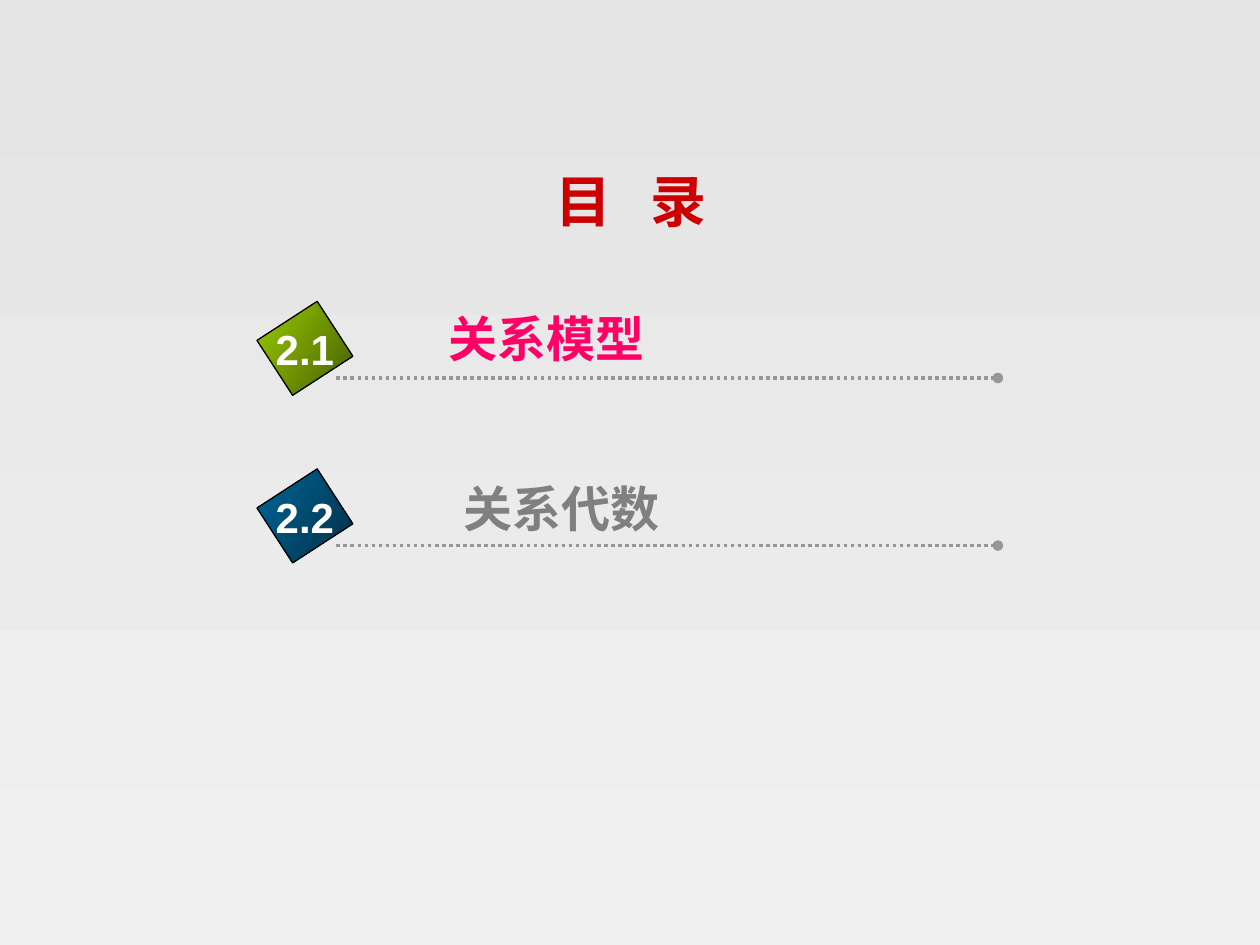
from dataclasses import dataclass

from lxml import etree
from pptx import Presentation
from pptx.dml.color import RGBColor
from pptx.enum import dml, shapes, text
from pptx.oxml import ns
from pptx.util import Inches, Pt


@dataclass(frozen=True)
class Theme:
    latin: str = "Arial"
    cjk: str = "Noto Sans CJK SC"
    title_size: int = 32
    label_size: int = 28
    number_size: int = 24
    title: str = "CC0000"
    active: str = "FF0066"
    muted: str = "808080"
    rule: str = "969696"
    outline: str = "000000"
    number: str = "FFFFFF"
    backdrop: tuple = ("E4E4E4", "F0F0F0")
    green: tuple = ("99CC00", "475E00")
    blue: tuple = ("006699", "002F47")


THEME = Theme()


def rgb(value):
    return RGBColor.from_string(value)


def set_gradient(fill, colors, angle):
    fill.gradient()
    fill.gradient_angle = 360 - angle
    for stop, color in zip(fill.gradient_stops, colors):
        stop.color.rgb = rgb(color)


def add_run(p, words, size, color, font):
    r = p.add_run()
    r.text = words
    r.font.size = Pt(size)
    r.font.bold = True
    r.font.name = font
    r.font.color.rgb = rgb(color)
    ea = etree.SubElement(r.font._element, ns.qn("a:ea"))
    ea.set("typeface", THEME.cjk)
    return r


def add_title(s, x, y, w, h):
    sp = s.shapes.title
    sp.left, sp.top, sp.width, sp.height = map(Inches, (x, y, w, h))
    tf = sp.text_frame
    tf.vertical_anchor = text.MSO_ANCHOR.MIDDLE
    p = tf.paragraphs[0]
    p.alignment = text.PP_ALIGN.CENTER
    for words in ("目", " ", "录"):
        r = add_run(p, words, THEME.title_size, THEME.title, THEME.cjk)
        if words == " ":
            r.font._element.set("spc", "1500")


def add_rule(s, x, y, w):
    line = s.shapes.add_connector(
        shapes.MSO_CONNECTOR.STRAIGHT, Inches(x), Inches(y), Inches(x + w), Inches(y))
    line.line.color.rgb = rgb(THEME.rule)
    line.line.width = Pt(2)
    line.line.dash_style = dml.MSO_LINE.ROUND_DOT
    tail = etree.SubElement(line.line._get_or_add_ln(), ns.qn("a:tailEnd"))
    tail.set("type", "oval")
    etree.SubElement(line._element.spPr, ns.qn("a:effectLst"))


def add_label(s, x, y, w, h, words, color, indent):
    tf = s.shapes.add_textbox(Inches(x), Inches(y), Inches(w), Inches(h)).text_frame
    tf.word_wrap = True
    p = tf.paragraphs[0]
    p._p.get_or_add_pPr().set("marL", str(Inches(indent)))
    add_run(p, words, THEME.label_size, color, THEME.latin)


def add_badge(s, x, y, number, colors):
    group = s.shapes.add_group_shape()
    sp = group.shapes.add_shape(
        shapes.MSO_SHAPE.RECTANGLE, Inches(x + 0.07), Inches(y), Inches(0.52), Inches(0.57))
    sp.rotation = 57
    sp.shadow.inherit = False
    set_gradient(sp.fill, colors, 33)
    sp._element.spPr.find(ns.qn("a:gradFill")).set("rotWithShape", "0")
    sp.line.color.rgb = rgb(THEME.outline)
    sp.line.width = Pt(0.75)
    tf = group.shapes.add_textbox(
        Inches(x), Inches(y + 0.04), Inches(0.66), Inches(0.5)).text_frame
    tf.word_wrap = False
    p = tf.paragraphs[0]
    p.alignment = text.PP_ALIGN.CENTER
    add_run(p, number, THEME.number_size, THEME.number, THEME.latin)


def add_entry(s, x, y, w, number, colors, label):
    add_rule(s, x + 0.58, y + 0.52, w - 0.58)
    add_label(s, *label)
    add_badge(s, x, y, number, colors)


def build_contents(prs):
    s = prs.slides.add_slide(prs.slide_layouts[5])
    set_gradient(s.background.fill, THEME.backdrop, 90)
    add_title(s, 1.42, 1.25, 7.17, 0.67)
    entries = (
        ("2.1", THEME.green, (3.11, 2.4, 4.42, 0.57, "关系模型", THEME.active, 0.35)),
        ("2.2", THEME.blue, (3.58, 3.75, 3.75, 0.57, "关系代数", THEME.muted, 0)),
    )
    for i, (number, colors, label) in enumerate(entries):
        add_entry(s, 2.09, 2.48 + 1.33 * i, 5.83, number, colors, label)


def main():
    prs = Presentation()
    prs.slide_width, prs.slide_height = Inches(10), Inches(7.5)
    build_contents(prs)
    prs.save("out.pptx")


if __name__ == "__main__":
    main()
